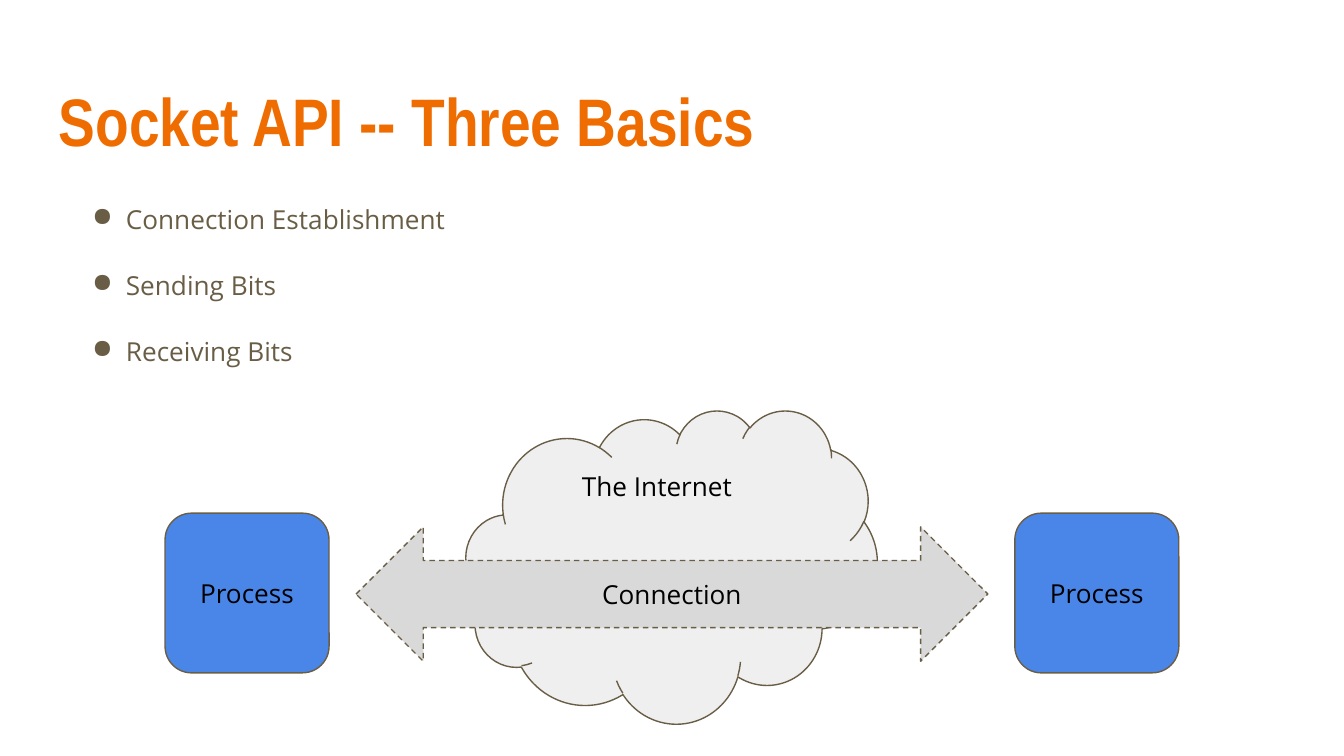
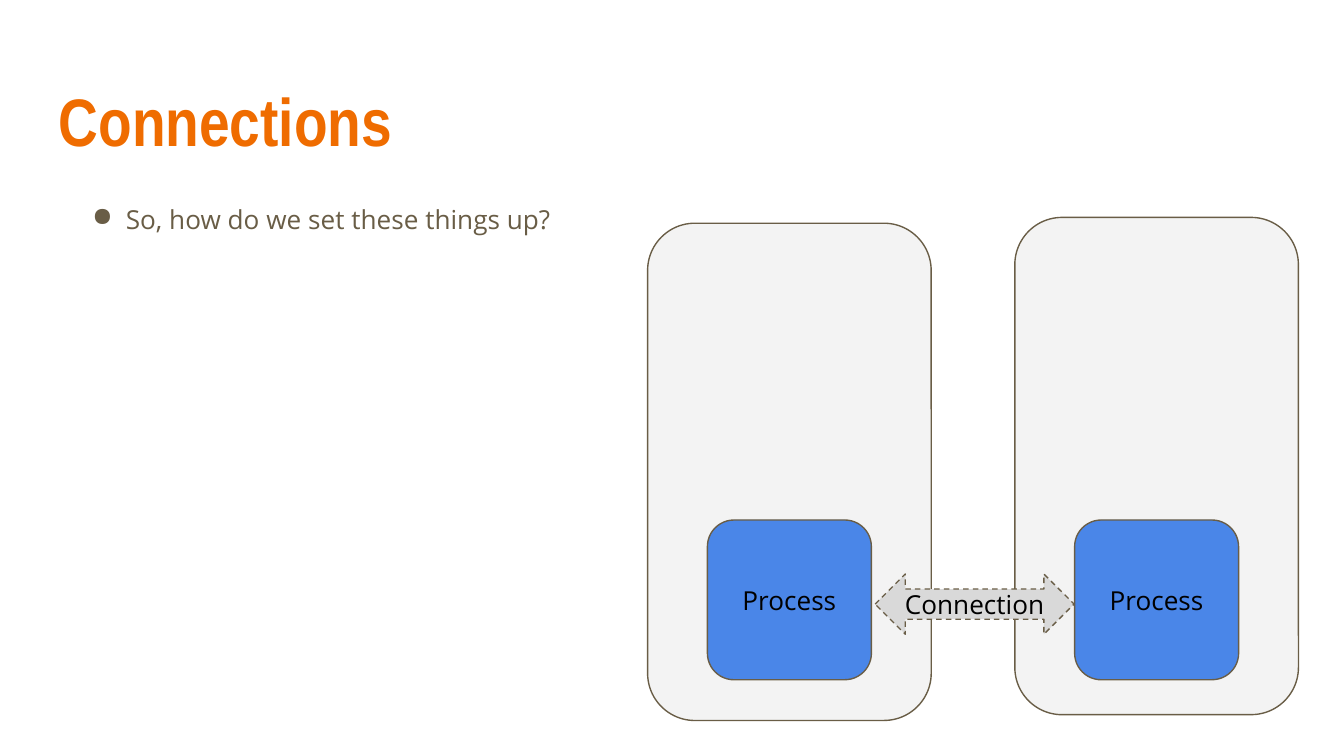
from lxml import etree
from pptx import Presentation
from pptx.dml.color import RGBColor
from pptx.enum.dml import MSO_LINE
from pptx.enum.shapes import MSO_SHAPE as SHAPE
from pptx.enum.text import MSO_ANCHOR as ANCHOR, MSO_AUTO_SIZE as AUTO_SIZE, PP_ALIGN as ALIGN
from pptx.oxml.ns import qn
from pptx.util import Cm, Pt

# Shared style
ORANGE = RGBColor(0xEF, 0x6C, 0x00)
BROWN = RGBColor(0x69, 0x5D, 0x46)
BLACK = RGBColor(0x00, 0x00, 0x00)
BLUE = RGBColor(0x4A, 0x86, 0xE8)
CLOUD_GRAY = RGBColor(0xEF, 0xEF, 0xEF)
HOST_GRAY = RGBColor(0xF3, 0xF3, 0xF3)
ARROW_GRAY = RGBColor(0xD9, 0xD9, 0xD9)
TITLE_FONT, BODY_FONT = "Arial Narrow", "Open Sans"
INSET = Cm(0.25)
PROCESS_SIZE = (3.1, 3.02)
HOST_SIZE = (5.36, 9.4)

presentation = Presentation()
presentation.slide_width, presentation.slide_height = Cm(25.4), Cm(14.29)
title_only = presentation.slide_layouts[5]


def set_text(shape, lines, font, size, color, anchor=ANCHOR.TOP, align=ALIGN.LEFT):
    frame = shape.text_frame
    frame.text = "\n".join(lines)
    frame.word_wrap = True
    frame.vertical_anchor = anchor
    frame.margin_left = frame.margin_right = INSET
    frame.margin_top = frame.margin_bottom = INSET
    for paragraph in frame.paragraphs:
        paragraph.alignment = align
        for run in paragraph.runs:
            run.font.name, run.font.size = font, Pt(size)
            run.font.color.rgb = color


def add_box(slide, kind, left, top, size, fill, label="", anchor=ANCHOR.MIDDLE):
    shape = slide.shapes.add_shape(kind, Cm(left), Cm(top), Cm(size[0]), Cm(size[1]))
    shape.shadow.inherit = False
    shape.fill.solid()
    shape.fill.fore_color.rgb = fill
    shape.line.color.rgb = BROWN
    shape.line.width = Pt(0.75)
    if kind == SHAPE.LEFT_RIGHT_ARROW:
        shape.line.dash_style = MSO_LINE.DASH
    if label:
        set_text(shape, [label], BODY_FONT, 14, BLACK, anchor, ALIGN.CENTER)


# Titles and bullet lists
contents = [
    ("Socket API -- Three Basics",
     ["Connection Establishment", "Sending Bits", "Receiving Bits"]),
    ("Connections", ["So, how do we set these things up?"]),
]
for heading, bullets in contents:
    slide = presentation.slides.add_slide(title_only)
    title = slide.shapes.title
    title.left, title.top, title.width, title.height = Cm(0.86), Cm(1.24), Cm(23.67), Cm(1.96)
    set_text(title, [heading], TITLE_FONT, 36, ORANGE)
    title.text_frame.paragraphs[0].runs[0].font.bold = True

    body = slide.shapes.add_textbox(Cm(0.86), Cm(3.5), Cm(11.1), Cm(9.17))
    set_text(body, bullets, BODY_FONT, 14, BROWN)
    body.text_frame.auto_size = AUTO_SIZE.TEXT_TO_FIT_SHAPE
    for paragraph in body.text_frame.paragraphs:
        paragraph.line_spacing = 1.15
        paragraph.space_after = Pt(16)
        properties = paragraph._p.get_or_add_pPr()
        properties.set("marL", str(Cm(1.27)))
        properties.set("indent", str(-Cm(0.64)))
        bullet_color = etree.SubElement(properties, qn("a:buClr"))
        etree.SubElement(bullet_color, qn("a:srgbClr")).set("val", str(BROWN))
        etree.SubElement(properties, qn("a:buChar")).set("char", "●")

basics, connections = presentation.slides

# Slide 1: two processes connected across the Internet
add_box(basics, SHAPE.CLOUD, 8.81, 7.75, (7.77, 5.92), CLOUD_GRAY, "The Internet", ANCHOR.TOP)
add_box(basics, SHAPE.LEFT_RIGHT_ARROW, 6.73, 9.96, (11.94, 2.54), ARROW_GRAY, "Connection")
for left in (3.12, 19.18):
    add_box(basics, SHAPE.ROUNDED_RECTANGLE, left, 9.7, PROCESS_SIZE, BLUE, "Process")

# Slide 2: a process centred in each of two hosts
hosts = [(12.24, 4.22), (19.18, 4.11)]
for left, top in hosts:
    add_box(connections, SHAPE.ROUNDED_RECTANGLE, left, top, HOST_SIZE, HOST_GRAY)
for left, top in hosts:
    process_left = left + (HOST_SIZE[0] - PROCESS_SIZE[0]) / 2
    add_box(connections, SHAPE.ROUNDED_RECTANGLE, process_left, 9.83, PROCESS_SIZE, BLUE, "Process")
add_box(connections, SHAPE.LEFT_RIGHT_ARROW, 16.54, 10.85, (3.76, 1.14), ARROW_GRAY, "Connection")

presentation.save("out.pptx")
